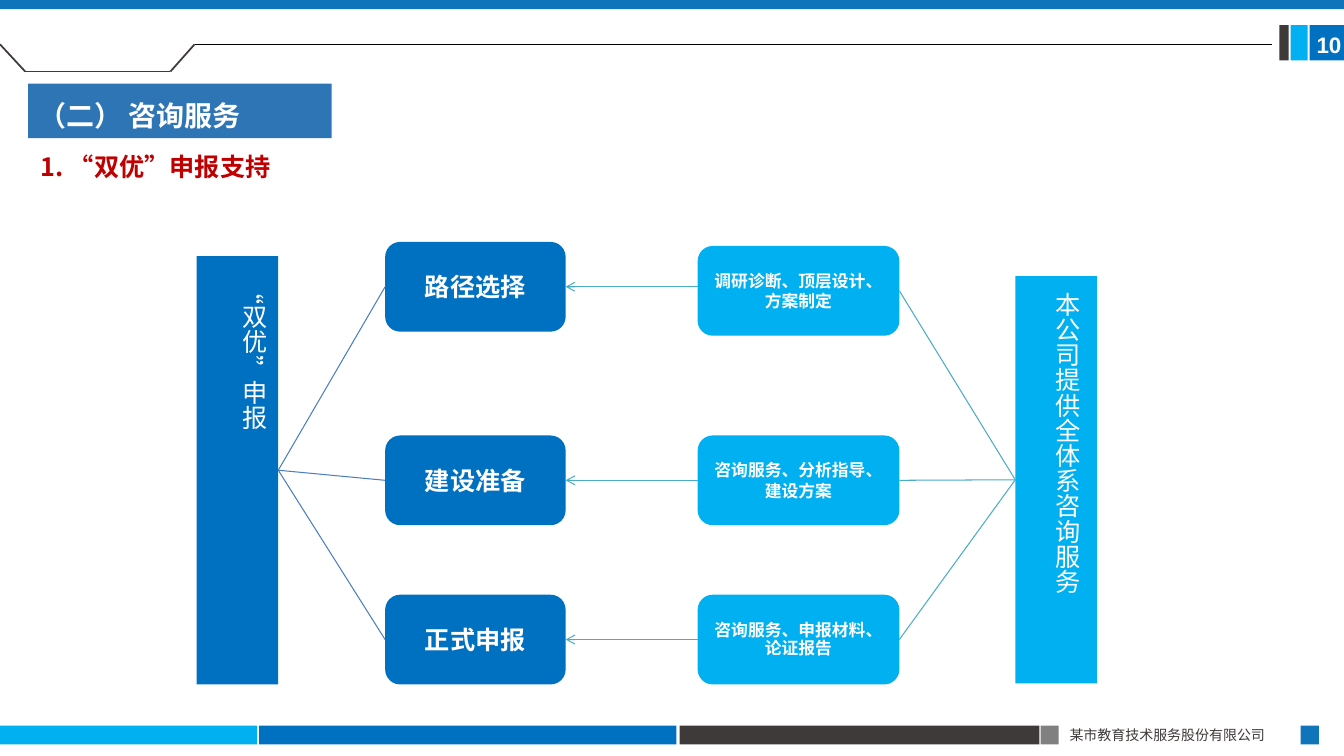
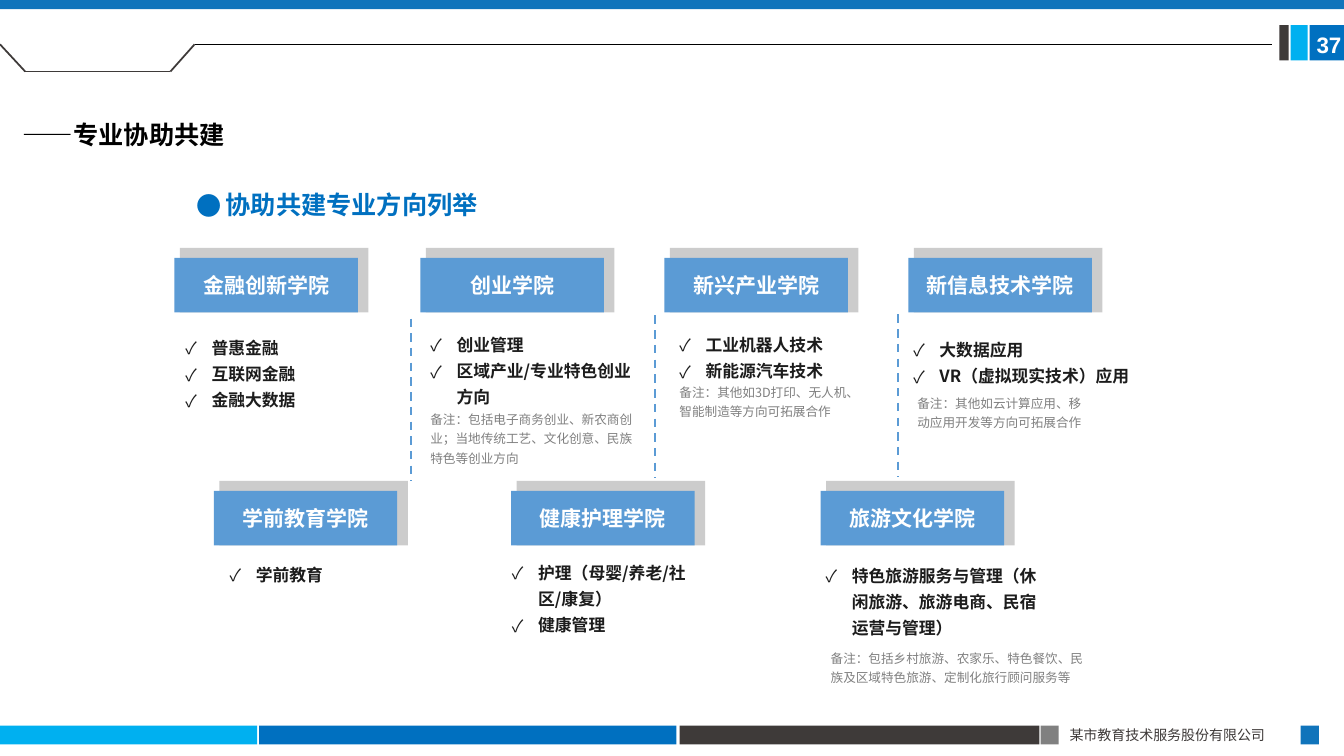
from dataclasses import dataclass
from itertools import pairwise

from lxml.etree import SubElement
from pptx import Presentation
from pptx.dml.color import RGBColor
from pptx.enum.dml import MSO_LINE
from pptx.enum.shapes import MSO_CONNECTOR, MSO_SHAPE
from pptx.enum.text import MSO_ANCHOR, PP_ALIGN
from pptx.oxml.ns import qn
from pptx.util import Emu, Inches, Pt

COLS, ROWS = 133.3, 75
WIDTH, HEIGHT = Inches(13.33), Inches(7.5)


@dataclass(frozen=True)
class Theme:
    """Colours, fonts and type sizes of the deck."""
    blue: str = "0070C0"
    sky: str = "00B0F0"
    band: str = "1074BB"
    dark: str = "3E3A39"
    grey: str = "808080"
    white: str = "FFFFFF"
    black: str = "000000"
    ink: str = "1C1C1C"
    red: str = "C00000"
    section: str = "2E75B6"
    card: str = "5B9BD5"
    card_back: str = "CCCCCC"
    step_line: str = "4B7EBC"
    service_line: str = "4BACC6"
    font: str = "Noto Sans CJK SC"
    number_font: str = "Arial"
    title: int = 20
    heading: int = 18
    number: int = 16
    label: int = 15
    body: int = 12
    footer: int = 10
    note: int = 9


T = Theme()


@dataclass(frozen=True)
class Box:
    """Area in grid columns and rows."""
    x: float
    y: float
    w: float
    h: float

    def sub(self, x, y, w, h):
        """Return an area placed relative to this one."""
        return Box(self.x + x, self.y + y, w, h)

    def emu(self):
        """Return left, top, width and height as lengths."""
        return col(self.x), row(self.y), col(self.w), row(self.h)


PAGE = Box(0, 0, COLS, ROWS)


def col(n):
    """Return the length of n grid columns."""
    return Emu(round(n * WIDTH / COLS))


def row(n):
    """Return the length of n grid rows."""
    return Emu(round(n * HEIGHT / ROWS))


def style(p, size, color, bold=False, font=T.font):
    """Format every run of a paragraph."""
    for r in p.runs:
        r.font.size = Pt(size)
        r.font.bold = bold
        r.font.color.rgb = RGBColor.from_string(color)
        r.font.name = font
        rPr = r.font._element
        rPr.set("lang", "zh-CN")
        ea = SubElement(rPr, qn("a:ea"))
        ea.set("typeface", font)
        rPr.find(qn("a:latin")).addnext(ea)


def bullet(p, char, indent):
    """Give a paragraph a hanging bullet."""
    pPr = p._p.get_or_add_pPr()
    pPr.set("marL", str(Inches(indent)))
    pPr.set("indent", str(-Inches(indent)))
    SubElement(pPr, qn("a:buFont")).set("typeface", T.font)
    SubElement(pPr, qn("a:buChar")).set("char", char)


def text(s, box, lines, size, color, bold=False, font=T.font, spacing=None,
         mark=None, indent=0.26):
    """Add a text box with one paragraph per line."""
    tf = s.shapes.add_textbox(*box.emu()).text_frame
    tf.word_wrap = True
    tf.text = lines
    for p in tf.paragraphs:
        if mark:
            bullet(p, mark, indent)
        if spacing:
            p.line_spacing = spacing
        style(p, size, color, bold, font)
    return tf


def block(s, box, fill, label="", size=T.body, shape=MSO_SHAPE.RECTANGLE):
    """Add a filled shape with an optional centred white label."""
    sp = s.shapes.add_shape(shape, *box.emu())
    sp.shadow.inherit = False
    sp.fill.solid()
    sp.fill.fore_color.rgb = RGBColor.from_string(fill)
    sp.line.fill.background()
    if label:
        tf = sp.text_frame
        tf.text = label
        tf.word_wrap = True
        tf.vertical_anchor = MSO_ANCHOR.MIDDLE
        tf.paragraphs[0].alignment = PP_ALIGN.CENTER
        style(tf.paragraphs[0], size, T.white, True)
    return sp


def line(s, start, end, color, width, dash=False, arrow=False):
    """Add a straight line between two grid points."""
    cx = s.shapes.add_connector(MSO_CONNECTOR.STRAIGHT, col(start[0]), row(start[1]),
                                col(end[0]), row(end[1]))
    cx.line.color.rgb = RGBColor.from_string(color)
    cx.line.width = Pt(width)
    if dash:
        cx.line.dash_style = MSO_LINE.DASH
    if arrow:
        SubElement(cx.line._get_or_add_ln(), qn("a:tailEnd")).set("type", "arrow")
    SubElement(cx._element.spPr, qn("a:effectLst"))
    return cx


def link(s, a, a_side, b, b_side, color):
    """Join the side middles of two shapes."""
    cx = line(s, (0, 0), (1, 1), color, 0.75)
    cx.begin_connect(a, a_side)
    cx.end_connect(b, b_side)


def header(s, box, number):
    """Draw the top band, the tab outline and the page number."""
    block(s, box.sub(0, 0, box.w, 0.9), T.band)
    for x, w, fill in ((126.9, 0.9, T.dark), (128, 1.7, T.sky), (129.9, 3.4, T.blue)):
        block(s, box.sub(x, 2.5, w, 3.5), fill)
    tab = [(0, 4.4), (2.5, 7.1), (16.9, 7.1), (19.3, 4.4)]
    for start, end in pairwise([(box.x + x, box.y + y) for x, y in tab]):
        line(s, start, end, T.dark, 1.25)
    line(s, (box.x + 19.3, box.y + 4.4), (box.x + 126.2, box.y + 4.4), T.black, 0.5)
    tf = text(s, box.sub(129.6, 2.6, 3.7, 3.7), number, T.number, T.white, True,
              T.number_font)
    tf.word_wrap = False
    tf.margin_right = 0


def footer(s, box):
    """Draw the footer bands and the organisation name."""
    bands = ((0, 25.5, T.sky), (25.7, 41.4, T.blue), (67.4, 35.7, T.dark),
             (103.2, 1.8, T.grey), (129, 1.8, T.band))
    for x, w, fill in bands:
        block(s, box.sub(x, 0, w, box.h), fill)
    text(s, box.sub(105.1, -0.4, 24, 2.7), "某市教育技术服务股份有限公司", T.footer, T.dark)


def page(prs, number):
    """Add a slide with the shared header and footer."""
    s = prs.slides.add_slide(prs.slide_layouts[6])
    header(s, PAGE.sub(0, 0, COLS, 7.1), number)
    footer(s, PAGE.sub(0, 72, COLS, 1.85))
    return s


def section(s, box, title, heading):
    """Draw the section banner with a numbered heading below."""
    sp = block(s, box.sub(0, 0, 30.1, 5.4), T.section, title, T.title)
    sp.text_frame.vertical_anchor = MSO_ANCHOR.TOP
    p = sp.text_frame.paragraphs[0]
    p.alignment = PP_ALIGN.LEFT
    p.line_spacing = 1.3
    text(s, box.sub(0.2, 6.2, 41.1, 4), heading, T.heading, T.red, True)


def pillar(s, box, fill, label, label_box):
    """Draw a tall bar with vertical text."""
    sp = block(s, box, fill)
    tf = text(s, label_box, label, T.heading, T.white)
    tf._txBody.bodyPr.set("vert", "eaVert")
    return sp


def support_flow(s, box, rows):
    """Draw the steps and the services that feed them between two pillars."""
    left = pillar(s, box.sub(0, 1.4, 8.1, 42.5), T.blue, "“双优”申报",
                  box.sub(1.2, 2.7, 6.3, 39.9))
    right = pillar(s, box.sub(81.2, 3.4, 8.1, 40.4), T.sky, "本公司提供全体系咨询服务",
                   box.sub(81.4, 4, 6.9, 39.9))
    for step_y, service_y, step, service, spacing in rows:
        step_box = box.sub(18.7, step_y, 17.9, 8.9)
        service_box = box.sub(49.7, service_y, 20, 8.9)
        a = block(s, step_box, T.blue, step, T.heading, MSO_SHAPE.ROUNDED_RECTANGLE)
        b = block(s, service_box, T.sky, service, T.body, MSO_SHAPE.ROUNDED_RECTANGLE)
        b.text_frame.paragraphs[0].line_spacing = spacing
        middle = step_box.y + step_box.h / 2
        cx = line(s, (service_box.x, middle), (step_box.x + step_box.w, middle),
                  T.service_line, 0.75, arrow=True)
        if step_y == service_y:
            cx.begin_connect(b, 1)
        cx.end_connect(a, 3)
        link(s, left, 3, a, 1, T.step_line)
        link(s, b, 3, right, 1, T.service_line)


def college(s, box, name, items, items_at, note="", note_at=None):
    """Draw a college label with its majors and an optional note."""
    block(s, box.sub(0.55, -1, 18.7, 6.4), T.card_back)
    block(s, box, T.card, name, T.label)
    x, y, w = items_at
    text(s, box.sub(x, y, w, 3.6), items, T.body, T.ink, True, spacing=1.3, mark="✓")
    if note:
        x, y, w = note_at
        text(s, box.sub(x, y, w, 4.9), note, T.note, T.grey, spacing=1.3)


def college_row(s, box, colleges):
    """Place colleges along one row."""
    for x, *content in colleges:
        college(s, box.sub(x, 0, 18.2, 5.4), *content)


def dividers(s, box, tops):
    """Draw evenly spaced dashed dividers."""
    for i, top in enumerate(tops):
        x, y = box.x + i * box.w / (len(tops) - 1), box.y + top
        line(s, (x, y), (x, y + box.h), T.card, 1.5, dash=True)


def consulting_slide(prs):
    """Build the consulting service slide."""
    s = page(prs, "10")
    section(s, PAGE.sub(2.8, 8.3, 41.3, 10.2), "（二） 咨询服务", "1. “双优”申报支持")
    support_flow(s, PAGE.sub(19.5, 24, 89.3, 43.9), [
        (0, 0.4, "路径选择", "调研诊断、顶层设计、方案制定", None),
        (19.2, 19.2, "建设准备", "咨询服务、分析指导、建设方案", None),
        (35, 35, "正式申报", "咨询服务、申报材料、论证报告", Pt(13)),
    ])


def majors_slide(prs):
    """Build the slide that lists jointly built majors."""
    s = page(prs, "37")
    text(s, PAGE.sub(1.3, 11.3, 30, 4), "——专业协助共建", T.heading, T.black, True)
    text(s, PAGE.sub(18.5, 18.3, 36, 4), "协助共建专业方向列举", T.heading, T.blue, True,
         mark="●", indent=0.29)
    college_row(s, PAGE.sub(17.3, 25.6, 93, 21), [
        (0, "金融创新学院", "普惠金融\n互联网金融\n金融大数据", (0.1, 6.8, 22)),
        (24.4, "创业学院", "创业管理\n区域产业/专业特色创业方向", (0, 6.5, 22),
         "备注：包括电子商务创业、新农商创业；当地传统工艺、文化创意、民族特色等创业方向",
         (0, 14.3, 22)),
        (48.6, "新兴产业学院", "工业机器人技术\n新能源汽车技术", (0.5, 6.5, 20),
         "备注：其他如3D打印、无人机、智能制造等方向可拓展合作", (0.5, 11.6, 20.2)),
        (72.8, "新信息技术学院", "大数据应用\nVR（虚拟现实技术）应用", (-0.5, 7, 26),
         "备注：其他如云计算应用、移动应用开发等方向可拓展合作", (-0.1, 12.7, 19.3)),
    ])
    dividers(s, PAGE.sub(40.8, 31.2, 48.3, 16.1), (0.4, 0.1, 0))
    college_row(s, PAGE.sub(21.2, 48.7, 90, 20), [
        (0, "学前教育学院", "学前教育", (0.6, 6.2, 18)),
        (29.5, "健康护理学院", "护理（母婴/养老/社区/康复）\n健康管理", (-0.9, 6, 21)),
        (60.2, "旅游文化学院", "特色旅游服务与管理（休闲旅游、旅游电商、民宿运营与管理）",
         (-0.5, 6.3, 24.2),
         "备注：包括乡村旅游、农家乐、特色餐饮、民族及区域特色旅游、定制化旅行顾问服务等",
         (0, 14.9, 27.5)),
    ])


def main():
    """Build and save the deck."""
    prs = Presentation()
    prs.slide_width, prs.slide_height = WIDTH, HEIGHT
    consulting_slide(prs)
    majors_slide(prs)
    prs.save("out.pptx")


if __name__ == "__main__":
    main()
